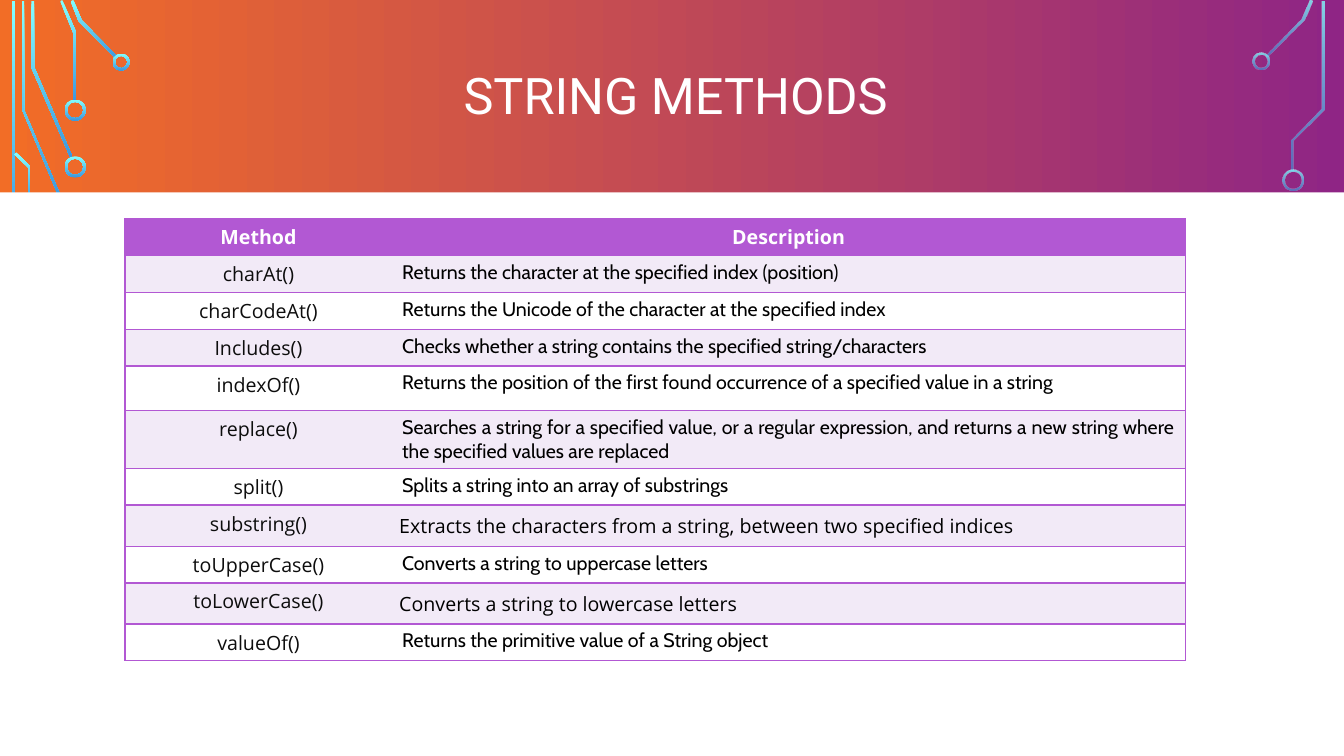
from lxml import etree
from pptx import Presentation
from pptx import util as u
from pptx.dml import color
from pptx.enum import shapes, text
from pptx.oxml import ns

THEME = {
    "orange": "F26D26", "purple": "8F2585", "accent": "B258D3",
    "band": "F2EAF7", "white": "FFFFFF", "black": "000000", "ink": "0D0D0D",
    "aqua": "82FFFF", "blue": "3D97DE",
    "title_font": "Roboto", "method_font": "Open Sans", "text_font": "Cabin",
    "title_size": u.Pt(36), "table_size": u.Pt(14), "border": u.Pt(1),
}


def rgb(name):
    return color.RGBColor.from_string(THEME[name])


def paint_circuit(shape, alphas):
    shape.shadow.inherit = False
    shape.line.fill.background()
    shape.fill.gradient()
    shape.fill.gradient_angle = 270
    for stop, name in zip(shape.fill.gradient_stops, ("aqua", "blue")):
        stop.color.rgb = rgb(name)
    for node, alpha in zip(shape._element.xpath(".//a:gs/a:srgbClr"), alphas):
        if alpha < 100:
            etree.SubElement(node, ns.qn("a:alpha"), val=str(alpha * 1000))


presentation = Presentation()
presentation.slide_width = u.Cm(33.87)
presentation.slide_height = u.Cm(19.05)
slide = presentation.slides.add_slide(presentation.slide_layouts[5])

background = slide.background.fill
background.gradient()
background.gradient_angle = 180
for stop, name in zip(background.gradient_stops, ("purple", "orange")):
    stop.color.rgb = rgb(name)

circuits = [
    {
        "alphas": (100, 100),
        "traces": [
            [(0.3, 0.03), (0.38, 0.03), (0.38, 6.1), (0.3, 6.1)],
            [(1.52, 5.05), (0.56, 2.77), (0.56, 0.03), (0.61, 0.03), (0.61, 2.77), (1.57, 5.03)],
            [(1.78, 3.99), (0.79, 1.7), (0.79, 0.03), (0.86, 0.03), (0.86, 1.68), (1.83, 3.96)],
            [(1.93, 2.54), (1.85, 2.54), (1.85, 0.84), (1.52, 0.03), (1.57, 0), (1.93, 0.84)],
            [(2.92, 1.47), (1.98, 0.53), (1.78, 0.03), (1.85, 0), (2.06, 0.51), (2.95, 1.42)],
            [(0.76, 5.16), (0.71, 5.16), (0.71, 4.22), (0.36, 3.89), (0.41, 3.84), (0.76, 4.19)],
        ],
        "rings": [(1.63, 3.94, 0.53), (1.63, 2.51, 0.53), (2.84, 1.35, 0.43)],
    },
    {
        "alphas": (80, 60),
        "traces": [
            [(31.95, 1.42), (31.9, 1.4), (32.79, 0.48), (32.99, 0), (33.07, 0.03), (32.87, 0.51)],
            [(32.59, 4.29), (32.54, 4.29), (32.54, 3.51), (33.3, 2.72), (33.3, 0.03),
             (33.38, 0.03), (33.38, 2.74), (32.59, 3.53)],
        ],
        "rings": [(31.57, 1.32, 0.43), (32.31, 4.27, 0.53)],
    },
]
for circuit in circuits:
    for trace in circuit["traces"]:
        points = [(u.Cm(x), u.Cm(y)) for x, y in trace]
        builder = slide.shapes.build_freeform(*points[0])
        builder.add_line_segments(points[1:], close=True)
        paint_circuit(builder.convert_to_shape(), circuit["alphas"])
    for left, top, size in circuit["rings"]:
        ring = slide.shapes.add_shape(
            shapes.MSO_SHAPE.DONUT, u.Cm(left), u.Cm(top), u.Cm(size), u.Cm(size))
        ring.adjustments[0] = 0.06 / size
        paint_circuit(ring, circuit["alphas"])

panel = slide.shapes.add_shape(
    shapes.MSO_SHAPE.RECTANGLE, 0, u.Cm(4.85), u.Cm(33.87), u.Cm(14.2))
panel.shadow.inherit = False
panel.fill.solid()
panel.fill.fore_color.rgb = rgb("white")
panel.line.fill.background()

title = slide.shapes.title
title_box = {"left": u.Cm(2.13), "top": u.Cm(1.52), "width": u.Cm(30.05), "height": u.Cm(1.91)}
for name, value in title_box.items():
    setattr(title, name, value)
title_frame = {
    "margin_left": 0, "margin_right": u.Cm(0.25), "margin_top": u.Cm(0.13),
    "margin_bottom": u.Cm(0.13), "word_wrap": True,
    "vertical_anchor": text.MSO_ANCHOR.MIDDLE, "auto_size": text.MSO_AUTO_SIZE.NONE,
}
for name, value in title_frame.items():
    setattr(title.text_frame, name, value)
paragraph = title.text_frame.paragraphs[0]
paragraph.text = "STRING METHODS"
paragraph.alignment = text.PP_ALIGN.CENTER
paragraph.line_spacing = 0.9
title_font = {"name": THEME["title_font"], "size": THEME["title_size"], "bold": False}
for name, value in title_font.items():
    setattr(paragraph.runs[0].font, name, value)
paragraph.runs[0].font.color.rgb = rgb("white")

methods = [
    ("Method", "Description", 0.81),
    ("charAt()", "Returns the character at the specified index (position)", 0.81),
    ("charCodeAt()", "Returns the Unicode of the character at the specified index", 0.81),
    ("Includes()", "Checks whether a string contains the specified string/characters", 0.81),
    ("indexOf()", "Returns the position of the first found occurrence of a specified value in a string", 1.12),
    ("replace()", "Searches a string for a specified value, or a regular expression, "
     "and returns a new string where the specified values are replaced", 1.4),
    ("split()", "Splits a string into an array of substrings", 0.81),
    ("substring()", "Extracts the characters from a string, between two specified indices", 0.89),
    ("toUpperCase()", "Converts a string to uppercase letters", 0.81),
    ("toLowerCase()", "Converts a string to lowercase letters", 0.89),
    ("valueOf()", "Returns the primitive value of a String object", 0.81),
]
padded_methods = ("substring()", "toLowerCase()")
table = slide.shapes.add_table(
    len(methods), 2, u.Cm(3.15), u.Cm(5.51), u.Cm(26.72), u.Cm(10.34)).table
table.horz_banding = False
table._tbl.tblPr.find(ns.qn("a:tableStyleId")).text = "{2D5ABB26-0587-4C30-8999-92F81FD0307C}"
for column, width in zip(table.columns, (6.73, 19.99)):
    column.width = u.Cm(width)

for row_index, (method, description, height) in enumerate(methods):
    table.rows[row_index].height = u.Cm(height)
    header = row_index == 0
    fill_name = "accent" if header else "band" if row_index % 2 else "white"
    for column_index, content in enumerate((method, description)):
        cell = table.cell(row_index, column_index)
        cell.fill.solid()
        cell.fill.fore_color.rgb = rgb(fill_name)
        padded = column_index == 1 and method in padded_methods
        if padded:
            for side in ("left", "right", "top", "bottom"):
                setattr(cell, f"margin_{side}", u.Cm(0.18))
        centred = header or column_index == 0
        paragraph = cell.text_frame.paragraphs[0]
        paragraph.text = content
        paragraph.alignment = text.PP_ALIGN.CENTER if centred else text.PP_ALIGN.JUSTIFY
        cell_font = {
            "name": THEME["method_font" if centred or padded else "text_font"],
            "size": THEME["table_size"],
            "bold": header,
        }
        for name, value in cell_font.items():
            setattr(paragraph.runs[0].font, name, value)
        ink = "white" if header else "ink" if column_index == 0 else "black"
        paragraph.runs[0].font.color.rgb = rgb(ink)

        properties = cell._tc.get_or_add_tcPr()
        for position, side in enumerate(("lnL" if column_index == 0 else "lnR", "lnT", "lnB")):
            border = etree.Element(ns.qn(f"a:{side}"), w=str(THEME["border"]))
            solid = etree.SubElement(border, ns.qn("a:solidFill"))
            etree.SubElement(solid, ns.qn("a:srgbClr"), val=THEME["accent"])
            properties.insert(position, border)

presentation.save("out.pptx")
